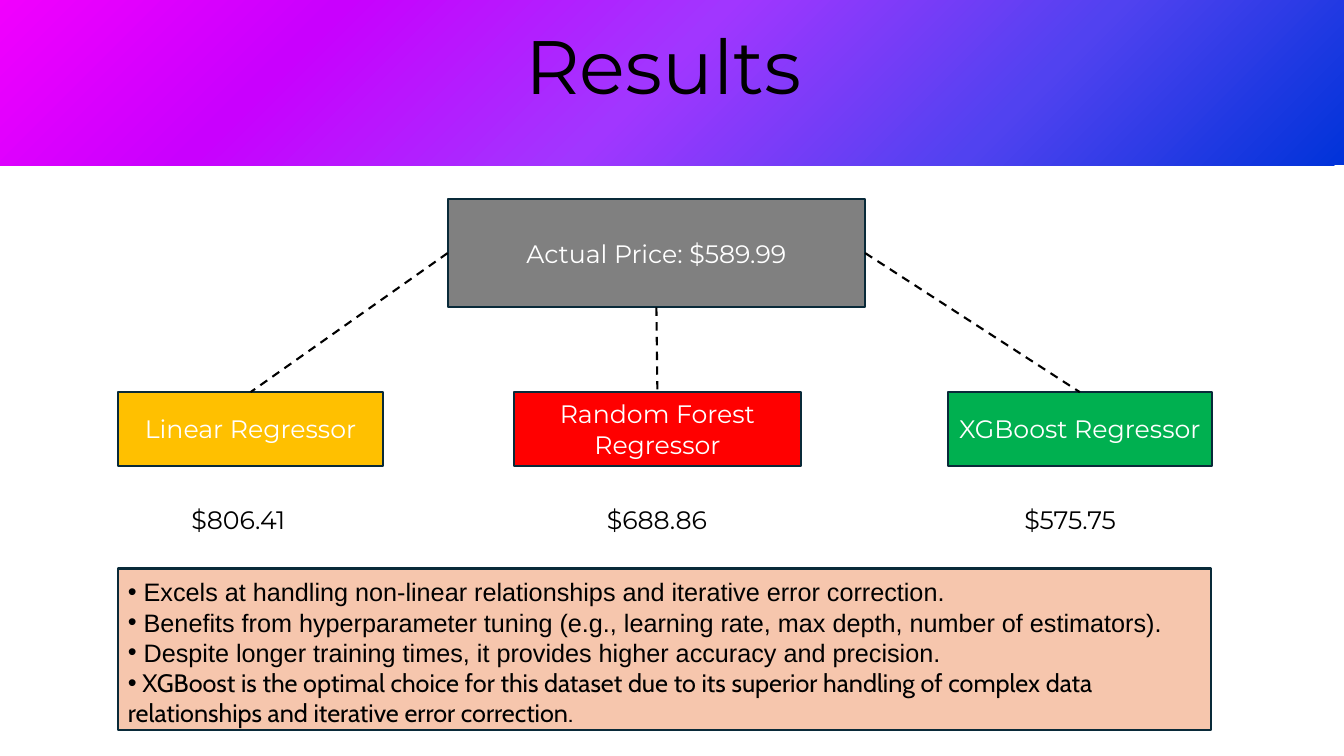
"""Build the slide comparing the actual price with three regressors."""
from pptx import Presentation, util as u
from pptx.dml.color import RGBColor
from pptx.enum import dml, shapes, text
from pptx.oxml import parse_xml
from pptx.oxml.ns import nsdecls, qn

SIZE = (13.33, 7.5)
COLORS = {"black": "000000", "white": "FFFFFF", "edge": "092A39", "gray": "808080",
          "amber": "FFC000", "red": "FF0000", "green": "00B050", "peach": "F6C6AD"}
BANNER_STOPS = ["F600FE", "C900FE", "A136FF", "5142F0", "0033D9"]

TITLE = "Results"
ACTUAL = "Actual Price: $589.99"
MODELS = [
    {"name": "Linear Regressor", "price": "$806.41", "color": "amber",
     "box": (8.78, 19.73), "label": (13.5, 9.45), "site": 1},
    {"name": "Random Forest Regressor", "price": "$688.86", "color": "red",
     "box": (38.26, 21.31), "label": (44.41, 11.18), "site": 2},
    {"name": "XGBoost Regressor", "price": "$575.75", "color": "green",
     "box": (70.52, 19.65), "label": (75.47, 19.65), "site": 3},
]
NOTES = [
    ("Excels at handling non-linear relationships and iterative error correction.", "Arial"),
    ("Benefits from hyperparameter tuning (e.g., learning rate, max depth, number of estimators).",
     "Arial"),
    ("Despite longer training times, it provides higher accuracy and precision.", "Arial"),
    ("XGBoost is the optimal choice for this dataset due to its superior handling of complex data "
     "relationships and iterative error correction.", "Cabin"),
]

COLUMNS = {"title": (38.33, 23.33), "actual": (33.31, 31.06), "panel": (8.78, 81.32)}
ROWS = {"banner": (-5.47, 27.34), "title": (1.87, 13.47), "actual": (26.27, 14.4),
        "models": (51.87, 9.73), "prices": (66, 5.33), "panel": (75.2, 21.33),
        "notes": (75.47, 21.6)}

prs = Presentation()
prs.slide_width, prs.slide_height = map(u.Inches, SIZE)
s = prs.slides.add_slide(prs.slide_layouts[6])


def place(column, row):
    """Turn percent shares of the slide into left, top, width and height."""
    (x, w), (y, h) = column, row
    return [u.Inches(share * side / 100) for share, side in zip((x, y, w, h), SIZE * 2)]


def rgb(name):
    """Look up a named colour."""
    return RGBColor.from_string(COLORS[name])


def write(p, words, color="black", font="Montserrat", size=18):
    """Add one formatted run to a paragraph."""
    r = p.add_run()
    r.text = words
    for key, value in {"name": font, "size": u.Pt(size)}.items():
        setattr(r.font, key, value)
    r.font.color.rgb = rgb(color)


def add_text(column, row):
    """Add a wrapping text box and return its frame."""
    tf = s.shapes.add_textbox(*place(column, row)).text_frame
    tf.word_wrap = True
    return tf


def add_box(column, row, color, words=None):
    """Add an outlined rectangle with optional centred text."""
    sp = s.shapes.add_shape(shapes.MSO_SHAPE.RECTANGLE, *place(column, row))
    sp.shadow.inherit = False
    sp.fill.solid()
    sp.fill.fore_color.rgb = rgb(color)
    sp.line.color.rgb = rgb("edge")
    sp.line.width = u.Pt(1.5)
    if words:
        tf = sp.text_frame
        tf.vertical_anchor = text.MSO_ANCHOR.MIDDLE
        tf.paragraphs[0].alignment = text.PP_ALIGN.CENTER
        write(tf.paragraphs[0], words, "white")
    return sp


def add_link(start, site, end):
    """Join a side of one box to the top of another with a dashed line."""
    line = s.shapes.add_connector(shapes.MSO_CONNECTOR.STRAIGHT, 0, 0, 0, 0)
    line.begin_connect(start, site)
    line.end_connect(end, 0)
    line.line.color.rgb = rgb("black")
    for key, value in {"width": u.Pt(1.5), "dash_style": dml.MSO_LINE.DASH}.items():
        setattr(line.line, key, value)
    line._element.spPr.append(parse_xml(f"<a:effectLst {nsdecls('a')}/>"))


def add_banner():
    """Draw the header band with its radial gradient."""
    x, y, w, h = place((0, 100), ROWS["banner"])
    outline = s.shapes.build_freeform(x, y)
    outline.add_line_segments([(x + w, y), (x + w, y + h), (x, y + h)], close=True)
    sp = outline.convert_to_shape()
    sp.shadow.inherit = False
    sp.line.fill.background()
    sp.fill.gradient()
    step = 100000 // (len(BANNER_STOPS) - 1)
    stops = "".join(f'<a:gs pos="{i * step}"><a:srgbClr val="{c}"/></a:gs>'
                    for i, c in enumerate(BANNER_STOPS))
    spPr = sp._element.spPr
    spPr.replace(spPr.find(qn("a:gradFill")), parse_xml(
        f'<a:gradFill {nsdecls("a")} rotWithShape="1"><a:gsLst>{stops}</a:gsLst>'
        '<a:path path="circle"><a:fillToRect r="100000" b="100000"/></a:path></a:gradFill>'))


add_banner()
write(add_text(COLUMNS["title"], ROWS["title"]).paragraphs[0], TITLE, size=54)

actual = add_box(COLUMNS["actual"], ROWS["actual"], "gray", ACTUAL)
for model in MODELS:
    box = add_box(model["box"], ROWS["models"], model["color"], model["name"])
    add_link(actual, model["site"], box)
    write(add_text(model["label"], ROWS["prices"]).paragraphs[0], model["price"])

add_box(COLUMNS["panel"], ROWS["panel"], "peach")
tf = add_text(COLUMNS["panel"], ROWS["notes"])
tf.vertical_anchor = text.MSO_ANCHOR.MIDDLE
for i, (note, font) in enumerate(NOTES):
    p = tf.add_paragraph() if i else tf.paragraphs[0]
    pPr = p._p.get_or_add_pPr()
    for key in ("marL", "indent"):
        pPr.set(key, "0")
    pPr.append(parse_xml(f'<a:buFont {nsdecls("a")} typeface="Arial"/>'))
    pPr.append(parse_xml(f'<a:buChar {nsdecls("a")} char="•"/>'))
    write(p, f" {note}", font=font)

prs.save("out.pptx")
